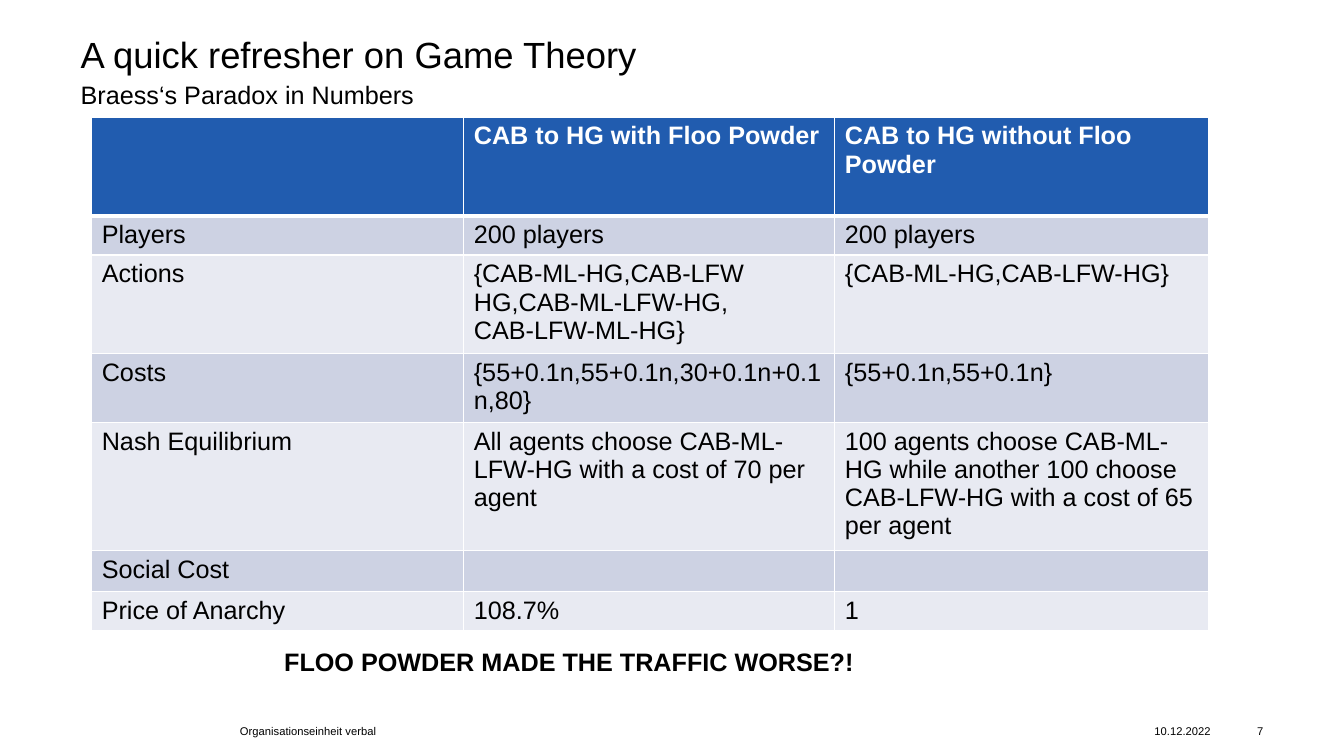
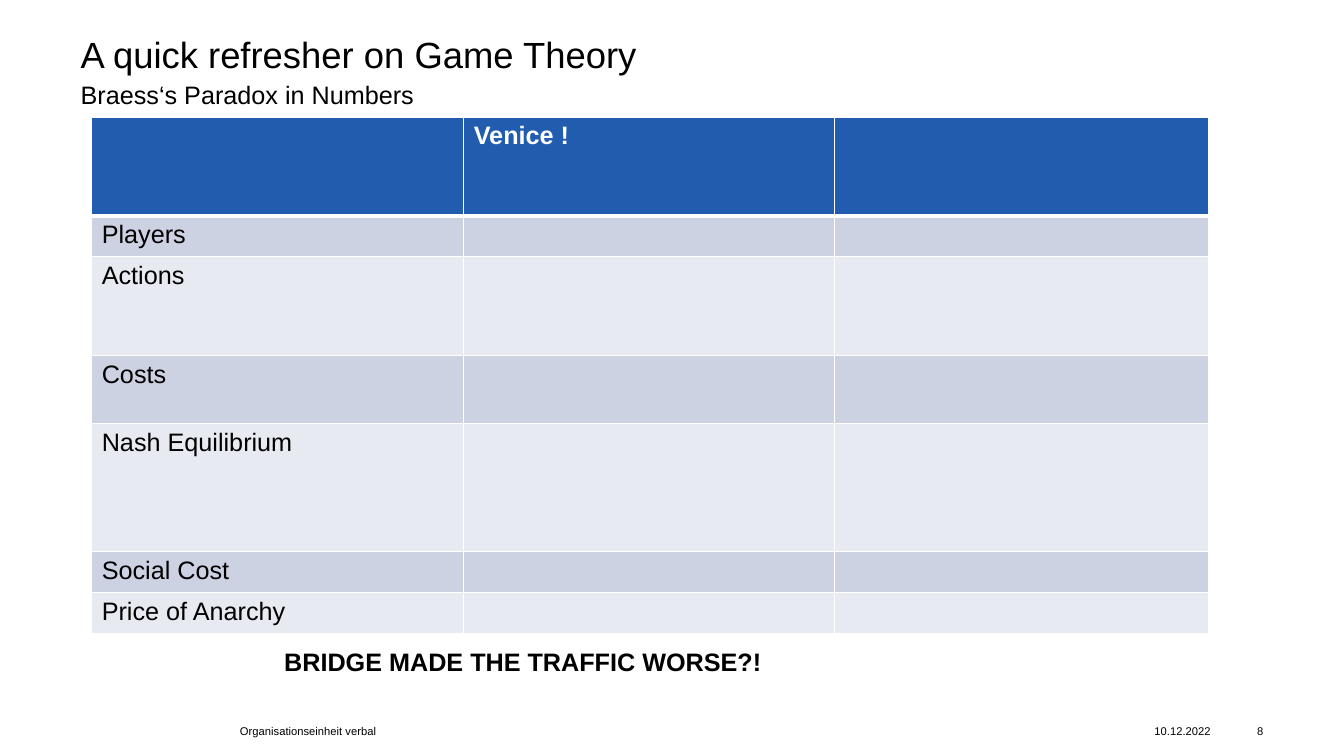
from pptx import Presentation as Deck
from pptx.dml.color import RGBColor as Rgb
from pptx.enum.text import MSO_ANCHOR as Anchor
from pptx.enum.text import MSO_AUTO_SIZE as Fit
from pptx.enum.text import PP_ALIGN as Align
from pptx.util import Inches, Pt
from lxml.etree import SubElement as Sub
from pptx.oxml.ns import qn

BLUE = Rgb(0x21, 0x5C, 0xAF)
DARK = Rgb(0xCD, 0xD2, 0xE3)
PALE = Rgb(0xE8, 0xEA, 0xF2)
WHITE = Rgb(0xFF, 0xFF, 0xFF)
BLACK = Rgb(0, 0, 0)

BASE = {"name": "Arial", "bold": False}
BODY = {**BASE, "size": Pt(18)}
LARGE = {**BASE, "size": Pt(26)}
SMALL = {**BASE, "size": Pt(8)}
BOLD = {**BODY, "bold": True}
FLUSH = dict.fromkeys(
    ("margin_left", "margin_top", "margin_right", "margin_bottom"), 0)

COLS = (3.69, 3.68, 3.71)
ROWS = (0.98, 0.39, 0.98, 0.68, 1.27, 0.39, 0.39)
LABELS = ("", "Players", "Actions", "Costs", "Nash Equilibrium",
          "Social Cost", "Price of Anarchy")

TITLE = ("A quick refresher on Game Theory", "Braess‘s Paradox in Numbers")
UNIT = "Organisationseinheit verbal"
DATE = "10.12.2022"

TITLE_BOX = (0.8, 0.28, 11.73, 0.98)
TABLE_BOX = (0.91, 1.16, sum(COLS), sum(ROWS))
CLAIM_BOX = (2.72, 6.36, 5.92, 0.4)
FOOT_BOX = (2.38, 7.13, 10.15, 0.24)

SLIDES = (
    {
        "num": "7",
        "left": ("CAB to HG with Floo Powder", "200 players",
                 "{CAB-ML-HG,CAB-LFW HG,CAB-ML-LFW-HG,\nCAB-LFW-ML-HG}",
                 "{55+0.1n,55+0.1n,30+0.1n+0.1n,80}",
                 "All agents choose CAB-ML-LFW-HG with a cost of 70 per agent",
                 "", "108.7%"),
        "right": ("CAB to HG without Floo Powder", "200 players",
                  "{CAB-ML-HG,CAB-LFW-HG}", "{55+0.1n,55+0.1n}",
                  "100 agents choose CAB-ML-HG while another 100 choose "
                  "CAB-LFW-HG with a cost of 65 per agent",
                  "", "1"),
        "claim": "FLOO POWDER MADE THE TRAFFIC WORSE?!",
    },
    {
        "num": "8",
        "left": ("Venice !",) + ("",) * 6,
        "right": ("",) * 7,
        "claim": "BRIDGE MADE THE TRAFFIC WORSE?!",
    },
)


def apply(item, form):
    for key, value in form.items():
        setattr(item, key, value)


def style(run, form, color=BLACK):
    apply(run.font, form)
    run.font.color.rgb = color


def place(shape, box):
    names = ("left", "top", "width", "height")
    apply(shape, dict(zip(names, map(Inches, box))))


def label(slide, box, text, form, **frame):
    area = slide.shapes.add_textbox(*map(Inches, box)).text_frame
    apply(area, {"word_wrap": True, **frame})
    para = area.paragraphs[0]
    run = para.add_run()
    run.text = text
    style(run, form)
    return para


def head(slide, box):
    title = slide.shapes.title
    place(title, box)
    area = title.text_frame
    apply(area, {**FLUSH, "word_wrap": True, "auto_size": Fit.NONE,
                 "vertical_anchor": Anchor.TOP})
    para = area.paragraphs[0]
    apply(para, {"alignment": Align.LEFT, "line_spacing": 1.1})
    for index, (text, form) in enumerate(zip(TITLE, (LARGE, BODY))):
        if index:
            para.add_line_break()
        run = para.add_run()
        run.text = text
        style(run, form)


def edge(cell, row):
    props = cell._tc.get_or_add_tcPr()
    sides = {"L": 1, "R": 1, "T": 3 if row == 1 else 1,
             "B": 1 if row else 3}
    for side, width in sides.items():
        line = Sub(props, qn(f"a:ln{side}"), w=str(Pt(width)))
        Sub(Sub(line, qn("a:solidFill")), qn("a:srgbClr"), val=str(WHITE))


def fill(cell, row, text):
    edge(cell, row)
    cell.fill.solid()
    cell.fill.fore_color.rgb = (DARK if row % 2 else PALE) if row else BLUE
    cell.text = text
    for para in cell.text_frame.paragraphs:
        for run in para.runs:
            style(run, BODY if row else BOLD, BLACK if row else WHITE)


def grid(slide, box, left, right):
    frame = slide.shapes.add_table(
        len(ROWS), len(COLS), *map(Inches, box))
    table = frame.table
    for col, width in zip(table.columns, COLS):
        col.width = Inches(width)
    for row, height in zip(table.rows, ROWS):
        row.height = Inches(height)
    for row, texts in enumerate(zip(LABELS, left, right)):
        for col, text in enumerate(texts):
            fill(table.cell(row, col), row, text)


def foot(slide, box, num):
    x, y, width, height = box
    parts = (
        (x, 5.91, UNIT, Align.LEFT),
        (x + width - 1.08, 0.67, DATE, Align.LEFT),
        (x + width - 0.35, 0.35, num, Align.RIGHT),
    )
    for start, size, text, align in parts:
        para = label(slide, (start, y, size, height), text, SMALL,
                     vertical_anchor=Anchor.MIDDLE, **FLUSH)
        para.alignment = align


def build(deck, num, left, right, claim):
    slide = deck.slides.add_slide(deck.slide_layouts[5])
    head(slide, TITLE_BOX)
    grid(slide, TABLE_BOX, left, right)
    foot(slide, FOOT_BOX, num)
    label(slide, CLAIM_BOX, claim, BOLD, auto_size=Fit.SHAPE_TO_FIT_TEXT)


def main():
    deck = Deck()
    apply(deck, {"slide_width": Inches(13.33), "slide_height": Inches(7.5)})
    for data in SLIDES:
        build(deck, **data)
    deck.save("out.pptx")


if __name__ == "__main__":
    main()
